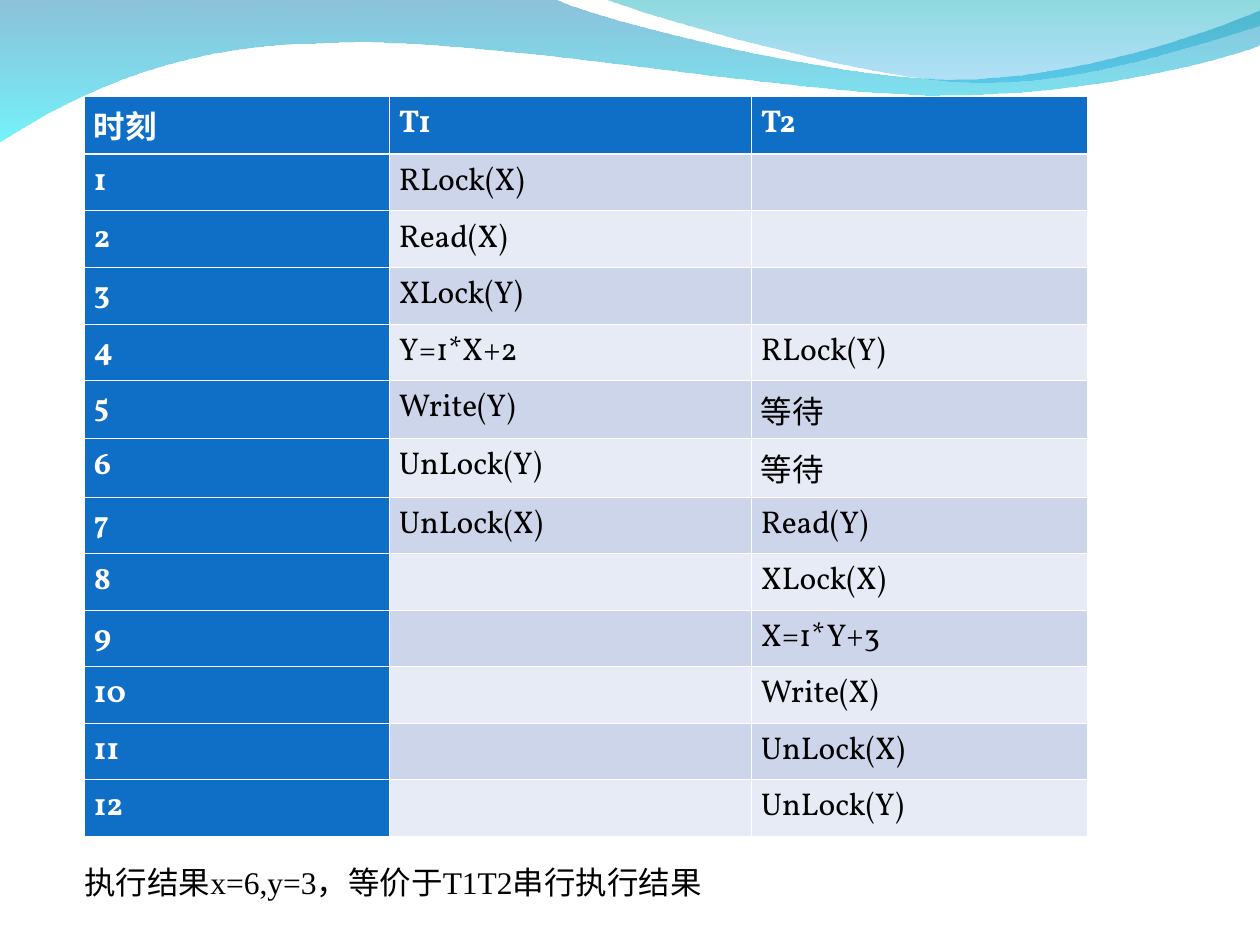
"""Build a slide with a two-transaction lock schedule below a wave banner."""
from dataclasses import dataclass
from typing import NamedTuple

from lxml.etree import SubElement
from pptx import Presentation
from pptx.dml.color import RGBColor
from pptx.enum.text import MSO_ANCHOR, MSO_AUTO_SIZE, PP_ALIGN
from pptx.oxml import parse_xml
from pptx.oxml.ns import nsdecls, qn
from pptx.slide import Slide
from pptx.table import _Cell
from pptx.util import Emu, Pt

EMU_PER_PX = 914400 / 126

Point = tuple[int, int]


@dataclass(frozen=True)
class Theme:
    font: str = "Vollkorn"
    note_font: str = "Times New Roman"
    size: int = 18
    white: str = "FFFFFF"
    black: str = "000000"
    accent: str = "0F6FC6"
    bands: tuple[str, str] = ("CCD5EA", "E7EBF5")
    thin: float = 0.45
    thick: float = 1.47


class Stop(NamedTuple):
    pos: int
    color: str
    opacity: int


class Wave(NamedTuple):
    start: Point
    segments: list[tuple[Point, ...]]
    stops: tuple[Stop, Stop]


class Box(NamedTuple):
    x: int
    y: int
    w: int
    h: int


THEME = Theme()

WAVES = [
    Wave(
        (0, -1),
        [
            ((554, -1),),
            ((600, 21), (837, 79), (955, 79)),
            ((1075, 79), (1207, 33), (1260, 11)),
            ((1261, 45),),
            ((1239, 55), (1096, 96), (940, 95)),
            ((784, 95), (481, 35), (324, 43)),
            ((163, 44), (58, 105), (-1, 142)),
        ],
        (Stop(0, "0079AF", 45), Stop(100, "00EBF8", 55)),
    ),
    Wave(
        (604, -1),
        [
            ((641, 14), (859, 78), (969, 82)),
            ((1079, 87), (1211, 40), (1260, 26)),
            ((1260, 0),),
        ],
        (Stop(0, "00ADB6", 45), Stop(100, "009BE5", 30)),
    ),
]

HEADER = ("时刻", "T1", "T2")
STEPS = [
    ("RLock(X)", ""),
    ("Read(X)", ""),
    ("XLock(Y)", ""),
    ("Y=1*X+2", "RLock(Y)"),
    ("Write(Y)", "等待"),
    ("UnLock(Y)", "等待"),
    ("UnLock(X)", "Read(Y)"),
    ("", "XLock(X)"),
    ("", "X=1*Y+3"),
    ("", "Write(X)"),
    ("", "UnLock(X)"),
    ("", "UnLock(Y)"),
]
COL_WIDTHS = (305, 362, 336)
ROW_HEIGHT = 56
TABLE_AT = (84, 96)
NOTE_BOX = Box(72, 857, 673, 50)
NOTE = "执行结果x=6,y=3，等价于T1T2串行执行结果"


def px(n: int) -> Emu:
    return Emu(round(n * EMU_PER_PX))


def draw_wave(s: Slide, wave: Wave) -> None:
    builder = s.shapes.build_freeform(*map(px, wave.start), scale=1.0)
    ends = [tuple(map(px, seg[-1])) for seg in wave.segments]
    builder.add_line_segments(ends, close=True)
    sp = builder.convert_to_shape()
    sp.shadow.inherit = False
    sp.line.fill.background()
    geom = sp._element.spPr.find(qn("a:custGeom"))
    for step, seg in zip(list(geom.iter(qn("a:lnTo"))), wave.segments):
        if len(seg) == 3:
            pts = "".join(
                f'<a:pt x="{px(x) - sp.left}" y="{px(y) - sp.top}"/>' for x, y in seg
            )
            curve = parse_xml(f'<a:cubicBezTo {nsdecls("a")}>{pts}</a:cubicBezTo>')
            step.getparent().replace(step, curve)
    stops = "".join(
        f'<a:gs pos="{st.pos * 1000}"><a:srgbClr val="{st.color}">'
        f'<a:alpha val="{st.opacity * 1000}"/></a:srgbClr></a:gs>'
        for st in wave.stops
    )
    grad = parse_xml(
        f'<a:gradFill {nsdecls("a")} rotWithShape="1"><a:gsLst>{stops}</a:gsLst>'
        '<a:lin ang="5400000" scaled="0"/></a:gradFill>'
    )
    geom.addnext(grad)


def set_borders(cell: _Cell, top: float, bottom: float) -> None:
    tcPr = cell._tc.get_or_add_tcPr()
    widths = {"lnL": THEME.thin, "lnR": THEME.thin, "lnT": top, "lnB": bottom}
    for i, (tag, width) in enumerate(widths.items()):
        ln = SubElement(tcPr, qn(f"a:{tag}"), w=str(Pt(width)))
        fill = SubElement(ln, qn("a:solidFill"))
        SubElement(fill, qn("a:srgbClr"), val=THEME.white)
        tcPr.insert(i, ln)


def draw_cell(cell: _Cell, text: str, row: int, col: int) -> None:
    strong = row == 0 or col == 0
    cell.margin_left = cell.margin_right = px(10)
    cell.fill.solid()
    fill = THEME.accent if strong else THEME.bands[(row - 1) % 2]
    cell.fill.fore_color.rgb = RGBColor.from_string(fill)
    set_borders(
        cell,
        THEME.thick if row == 1 else THEME.thin,
        THEME.thick if row == 0 else THEME.thin,
    )
    if not text:
        return
    p = cell.text_frame.paragraphs[0]
    p.text = text
    p.alignment = PP_ALIGN.JUSTIFY
    p.font.name, p.font.size, p.font.bold = THEME.font, Pt(THEME.size), strong
    p.font.color.rgb = RGBColor.from_string(THEME.white if strong else THEME.black)


def draw_schedule(s: Slide) -> None:
    rows = [HEADER, *((str(n), *ops) for n, ops in enumerate(STEPS, 1))]
    size = (sum(COL_WIDTHS), ROW_HEIGHT * len(rows))
    table = s.shapes.add_table(
        len(rows), len(COL_WIDTHS), *map(px, TABLE_AT + size)
    ).table
    for column, width in zip(table.columns, COL_WIDTHS):
        column.width = px(width)
    for r, texts in enumerate(rows):
        table.rows[r].height = px(ROW_HEIGHT)
        for c, text in enumerate(texts):
            draw_cell(table.cell(r, c), text, r, c)


def draw_note(s: Slide, box: Box, text: str) -> None:
    tf = s.shapes.add_textbox(*map(px, box)).text_frame
    tf.word_wrap = False
    tf.auto_size = MSO_AUTO_SIZE.SHAPE_TO_FIT_TEXT
    tf.vertical_anchor = MSO_ANCHOR.MIDDLE
    p = tf.paragraphs[0]
    p.text = text
    p.font.name, p.font.size = THEME.note_font, Pt(THEME.size)
    p.font.color.rgb = RGBColor.from_string(THEME.black)


def main() -> None:
    prs = Presentation()
    prs.slide_width, prs.slide_height = px(1260), px(945)
    s = prs.slides.add_slide(prs.slide_layouts[6])
    for wave in WAVES:
        draw_wave(s, wave)
    draw_schedule(s)
    draw_note(s, NOTE_BOX, NOTE)
    prs.save("out.pptx")


if __name__ == "__main__":
    main()
